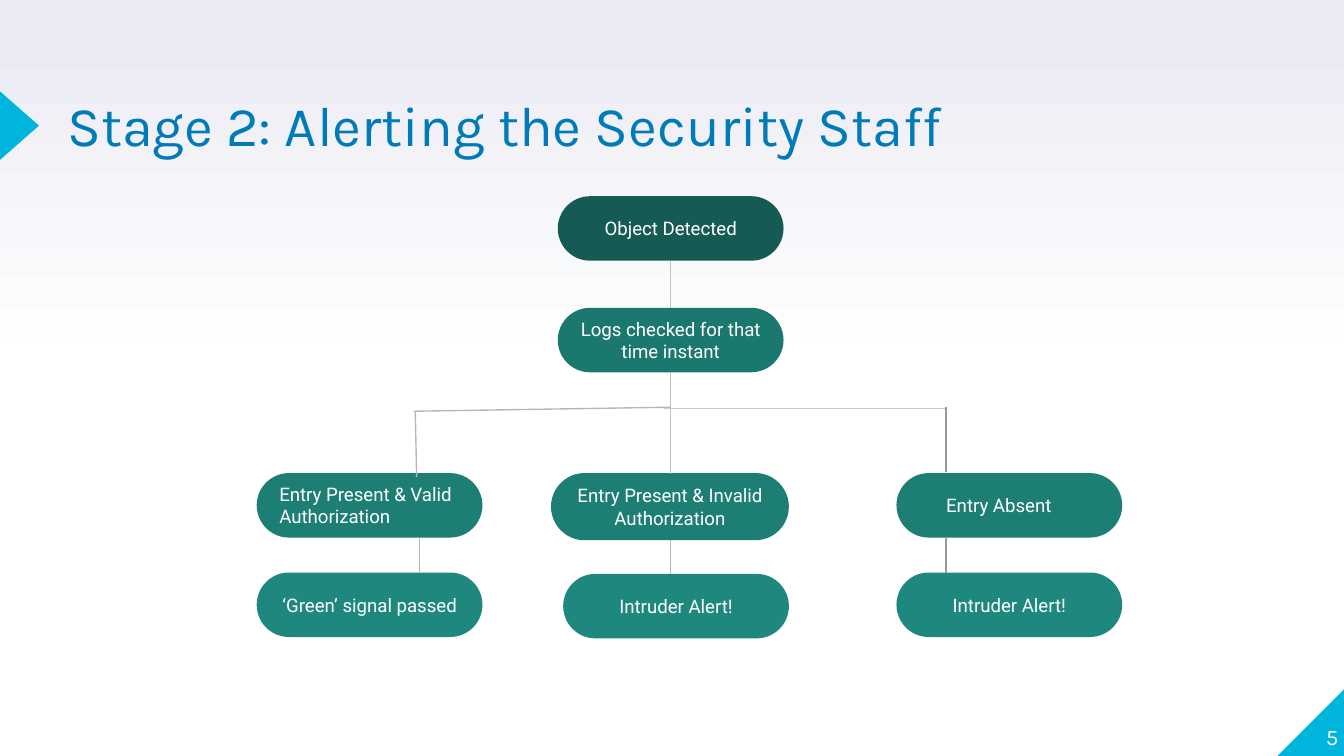
from copy import deepcopy

from lxml import etree
from pptx import Presentation
from pptx.dml.color import RGBColor
from pptx.enum import shapes, text
from pptx.oxml.ns import qn
from pptx.util import Inches, Pt

WHITE = RGBColor(0xFF, 0xFF, 0xFF)
LAVENDER = RGBColor(0xE9, 0xEA, 0xF2)
CYAN = RGBColor(0x00, 0xB5, 0xDD)
TITLE_BLUE = RGBColor(0x00, 0x7B, 0xB9)
TEAL_START = RGBColor(0x15, 0x5B, 0x54)
TEAL_CHECK = RGBColor(0x1B, 0x78, 0x6E)
TEAL_CASE = RGBColor(0x1D, 0x7E, 0x74)
TEAL_RESULT = RGBColor(0x1F, 0x88, 0x7E)
GREY_TRUNK = RGBColor(0xC2, 0xC2, 0xC2)
GREY_LIGHT = RGBColor(0xCC, 0xCC, 0xCC)
GREY_MID = RGBColor(0xB7, 0xB7, 0xB7)
GREY_DARK = RGBColor(0x99, 0x99, 0x99)

CENTER, LEFT, RIGHT = text.PP_ALIGN.CENTER, text.PP_ALIGN.LEFT, text.PP_ALIGN.RIGHT
STRAIGHT, ELBOW = shapes.MSO_CONNECTOR.STRAIGHT, shapes.MSO_CONNECTOR.ELBOW
TOP_SIDE, BOTTOM_SIDE = 0, 2


def paint_background(slide):
    """Fill the slide with white that turns lavender in the upper half."""
    fill = slide.background.fill
    fill.gradient()
    fill.gradient_angle = 90
    stop_list = fill.gradient_stops._gsLst
    stop_list.append(deepcopy(stop_list[-1]))
    colors = (WHITE, WHITE, LAVENDER)
    for stop, position, color in zip(fill.gradient_stops, (0, 0.5, 1), colors):
        stop.position = position
        stop.color.rgb = color


def write(frame, wording, font, size, color, align, anchor):
    """Put one formatted paragraph into a text frame."""
    frame.word_wrap = True
    frame.vertical_anchor = anchor
    paragraph = frame.paragraphs[0]
    paragraph.text = wording
    paragraph.alignment = align
    style = paragraph.runs[0].font
    style.name, style.size = font, Pt(size)
    style.color.rgb = color
    return paragraph


def add_solid(slide, preset, box, color):
    """Add a flat preset shape without an outline."""
    shape = slide.shapes.add_shape(preset, *map(Inches, box))
    shape.shadow.inherit = False
    shape.fill.solid()
    shape.fill.fore_color.rgb = color
    shape.line.fill.background()
    return shape


def add_label(slide, box, wording, size, color, align, anchor):
    """Add a text box without insets."""
    frame = slide.shapes.add_textbox(*map(Inches, box)).text_frame
    frame.margin_left = frame.margin_right = 0
    frame.margin_top = frame.margin_bottom = 0
    return write(frame, wording, "Karla", size, color, align, anchor)


def add_step(slide, left, top, wording, color, align=CENTER,
             width=1.68, height=0.48, indent=0.1):
    """Add one pill-shaped step of the flow."""
    step = add_solid(slide, shapes.MSO_SHAPE.ROUNDED_RECTANGLE,
                     (left, top, width, height), color)
    step.adjustments[0] = 0.5
    frame = step.text_frame
    frame.margin_left = Inches(indent)
    frame.margin_right = frame.margin_top = frame.margin_bottom = Inches(0.1)
    write(frame, wording, "Roboto", 10, WHITE, align, text.MSO_ANCHOR.MIDDLE)
    return step


def add_link(slide, start, end, color, route=STRAIGHT, source=None, target=None):
    """Add a thin line, joined to the steps that are given."""
    link = slide.shapes.add_connector(route, *map(Inches, start + end))
    link.line.color.rgb = color
    link.line.width = Pt(0.75)
    etree.SubElement(link.element.spPr, qn("a:effectLst"))
    if source is not None:
        link.begin_connect(source, BOTTOM_SIDE)
    if target is not None:
        link.end_connect(target, TOP_SIDE)


def add_frame(slide):
    """Add the corner, the title marker, the title and the slide number."""
    corner = add_solid(slide, shapes.MSO_SHAPE.RIGHT_TRIANGLE,
                       (9.5, 5.12, 0.51, 0.51), CYAN)
    corner.element.spPr.xfrm.set("flipH", "1")
    marker = add_solid(slide, shapes.MSO_SHAPE.ISOSCELES_TRIANGLE,
                       (-0.11, 0.79, 0.51, 0.29), CYAN)
    marker.rotation = 90
    title = add_label(slide, (0.5, 0.77, 6.61, 1.07),
                      "Stage 2: Alerting the Security Staff",
                      30, TITLE_BLUE, LEFT, text.MSO_ANCHOR.TOP)
    title.line_spacing = 0.8
    add_label(slide, (9.46, 5.07, 0.5, 0.51), "5", 12, WHITE, RIGHT,
              text.MSO_ANCHOR.BOTTOM)


def add_flow(slide):
    """Add the steps from detection to result and the lines between them."""
    detected = add_step(slide, 4.15, 1.46, "Object Detected", TEAL_START)
    checked = add_step(slide, 4.15, 2.29, "Logs checked for that time instant",
                       TEAL_CHECK)
    add_step(slide, 1.91, 3.52, "Entry Present & Valid Authorization",
             TEAL_CASE, LEFT)
    invalid = add_step(slide, 4.1, 3.52, "Entry Present & Invalid Authorization",
                       TEAL_CASE, width=1.77, height=0.5)
    add_step(slide, 6.67, 3.52, "Entry Absent", TEAL_CASE, LEFT, indent=0.3)

    trunk = 4.99
    add_link(slide, (trunk, 1.94), (trunk, 2.29), GREY_TRUNK, ELBOW,
             detected, checked)
    add_link(slide, (trunk, 2.77), (trunk, 3.52), GREY_TRUNK, ELBOW,
             checked, invalid)

    results = ((1.91, 4.26, "‘Green’ signal passed"),
               (4.19, 4.27, "Intruder Alert!"),
               (6.67, 4.26, "Intruder Alert!"))
    for left, top, wording in results:
        add_step(slide, left, top, wording, TEAL_RESULT)

    add_link(slide, (4.94, 3.04), (7.04, 3.04), GREY_LIGHT)
    add_link(slide, (7.04, 3.03), (7.04, 3.51), GREY_DARK)
    add_link(slide, (7.04, 4), (7.04, 4.26), GREY_DARK)
    add_link(slide, (trunk, 4.02), (trunk, 4.27), GREY_MID)
    add_link(slide, (3.12, 4), (3.12, 4.26), GREY_MID)
    add_link(slide, (trunk, 3.03), (3.08, 3.06), GREY_MID)
    add_link(slide, (3.1, 3.55), (3.09, 3.06), GREY_MID)


def main():
    """Build the slide and save it."""
    deck = Presentation()
    deck.slide_width = Inches(10)
    deck.slide_height = deck.slide_width * 9 // 16
    slide = deck.slides.add_slide(deck.slide_layouts[6])
    paint_background(slide)
    add_frame(slide)
    add_flow(slide)
    deck.save("out.pptx")


if __name__ == "__main__":
    main()
